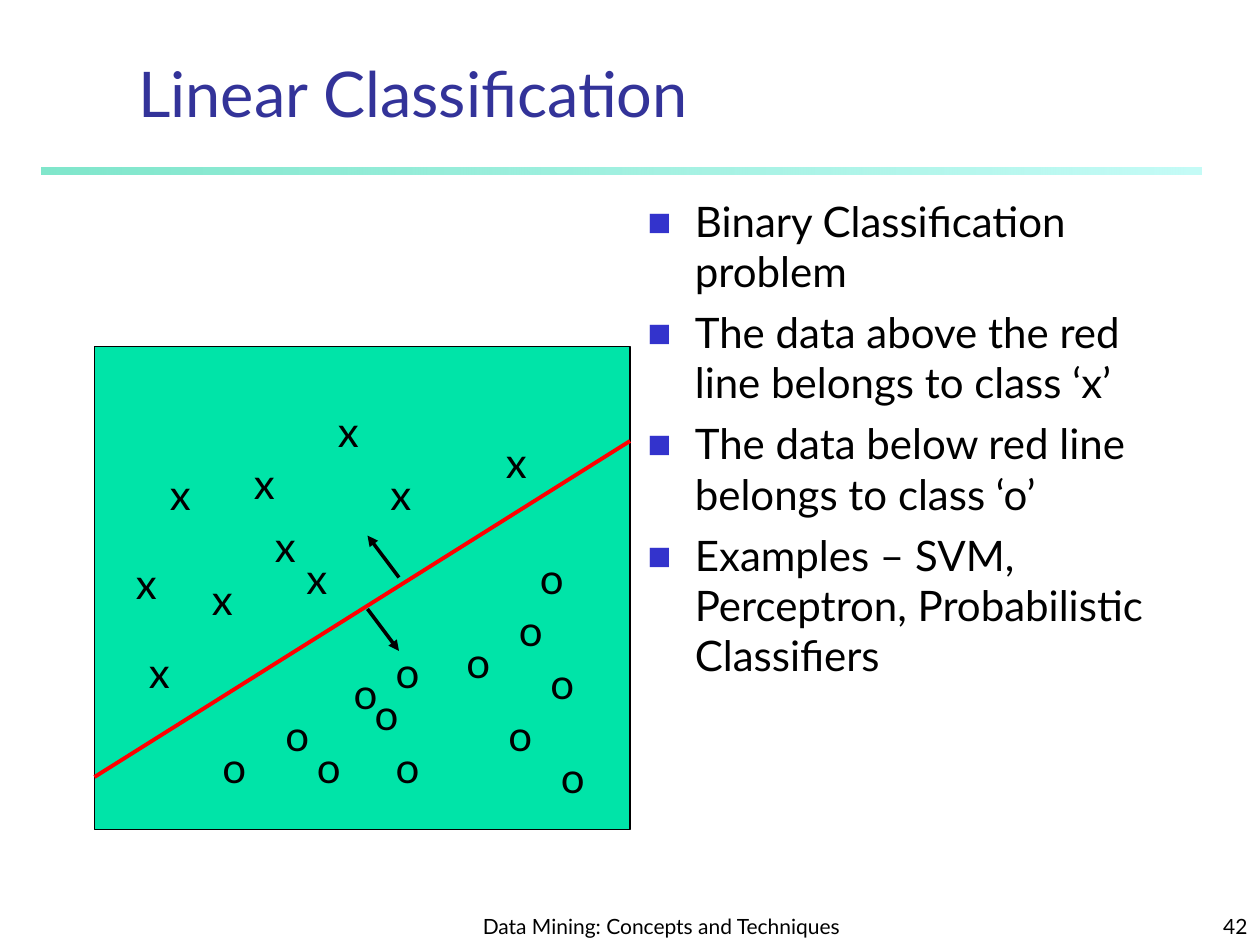
from lxml import etree
from pptx import Presentation
from pptx import util as u
from pptx.dml.color import RGBColor
from pptx.enum import shapes, text
from pptx.oxml.ns import qn

COLS, ROWS = 120, 90

XS = [(11.75, 52.5), (47, 41), (23, 43), (28, 52), (36, 44),
      (15, 44), (19, 54), (31, 38), (25, 49), (13, 61)]
OS = [(32.5, 63), (34.5, 65), (36.5, 61), (26, 67), (36.5, 70), (47.25, 67),
      (50.25, 52), (43.25, 60), (20, 70), (29, 70), (51.25, 62), (48.25, 57),
      (52.25, 71)]
POINTS = [
    "Binary Classification problem",
    "The data above the red line belongs to class ‘x’",
    "The data below red line belongs to class ‘o’",
    "Examples – SVM, Perceptron, Probabilistic Classifiers",
]


def rgb(value):
    return RGBColor.from_string(value)


def sub(parent, tag, **attrs):
    return etree.SubElement(parent, qn(tag), attrs)


class Deck:
    font, ink, bullet = "Lato", "000000", "3333CC"

    def __init__(self):
        self.prs = Presentation()
        self.prs.slide_width, self.prs.slide_height = u.Inches(10), u.Inches(7.5)
        self.s = self.prs.slides.add_slide(self.prs.slide_layouts[6])

    def at(self, *cells):
        units = (self.prs.slide_width / COLS, self.prs.slide_height / ROWS) * 2
        return [round(c * unit) for c, unit in zip(cells, units)]

    def rect(self, box):
        sp = self.s.shapes.add_shape(shapes.MSO_SHAPE.RECTANGLE, *self.at(*box))
        sp.shadow.inherit = False
        return sp

    def panel(self, box, fill):
        sp = self.rect(box)
        sp.fill.solid()
        sp.fill.fore_color.rgb = rgb(fill)
        sp.line.color.rgb = rgb(self.ink)
        sp.line.width = u.Pt(0.75)

    def fade(self, box, stops):
        sp = self.rect(box)
        sp.line.fill.background()
        sp.fill.gradient()
        sp.fill.gradient_angle = 180
        for stop, (color, _) in zip(sp.fill.gradient_stops, stops):
            stop.color.rgb = rgb(color)
        for el, (_, alpha) in zip(sp._element.iter(qn("a:srgbClr")), stops):
            sub(el, "a:alpha", val=str(alpha * 1000))

    def line(self, start, end, color, width, arrow=False):
        sp = self.s.shapes.add_connector(
            shapes.MSO_CONNECTOR.STRAIGHT, *self.at(*start, *end))
        sp.line.color.rgb = rgb(color)
        sp.line.width = u.Pt(width)
        if arrow:
            sub(sp.line._get_or_add_ln(), "a:tailEnd", type="triangle")
        sub(sp._element.spPr, "a:effectLst")

    def text(self, box, lines, size, color=ink, align="LEFT", anchor="TOP",
             wrap=True, bullets=False):
        tf = self.s.shapes.add_textbox(*self.at(*box)).text_frame
        frame = {"word_wrap": wrap,
                 "vertical_anchor": getattr(text.MSO_ANCHOR, anchor)}
        for name, value in frame.items():
            setattr(tf, name, value)
        for i, words in enumerate(lines):
            p = tf.paragraphs[0] if i == 0 else tf.add_paragraph()
            p.alignment = getattr(text.PP_ALIGN, align)
            if bullets:
                self.mark(p)
                p.space_before = u.Pt(6 if i else 0)
            r = p.add_run()
            r.text = words
            for name, value in {"name": self.font, "size": u.Pt(size)}.items():
                setattr(r.font, name, value)
            r.font.color.rgb = rgb(color)

    def mark(self, p):
        pPr = p._p.get_or_add_pPr()
        indent = u.Inches(0.375)
        pPr.set("marL", str(indent))
        pPr.set("indent", str(-indent))
        sub(sub(pPr, "a:buClr"), "a:srgbClr", val=self.bullet)
        sub(pPr, "a:buSzPct", val="60000")
        sub(pPr, "a:buFont", typeface=self.font)
        sub(pPr, "a:buChar", char="■")


def main():
    d = Deck()
    d.fade((4, 16, 110.4, 0.6), [("8FF9EF", 52), ("00CE98", 50)])
    d.text((12, 5, 102.25, 8), ["Linear Classification"], 36, "333399",
           anchor="BOTTOM")
    d.text((60.5, 18, 54.5, 67), POINTS, 24, bullets=True)
    d.panel((9, 33, 51, 46), "00E4A8")
    d.line((9, 74), (60, 42), "FF0000", 2.25)
    for mark, width, spots in (("x", 4.4, XS), ("o", 4.8, OS)):
        for spot in spots:
            d.text((*spot, width, 6), [mark], 24, wrap=False)
    for start, end in (((38, 55), (35, 51)), ((35, 58), (38, 62))):
        d.line(start, end, d.ink, 2, arrow=True)
    d.text((44, 85, 38, 5), ["Data Mining: Concepts and Techniques"], 12,
           align="CENTER", anchor="BOTTOM")
    d.text((95, 85, 25, 5), ["42"], 12, align="RIGHT", anchor="BOTTOM")
    d.prs.save("out.pptx")


if __name__ == "__main__":
    main()
